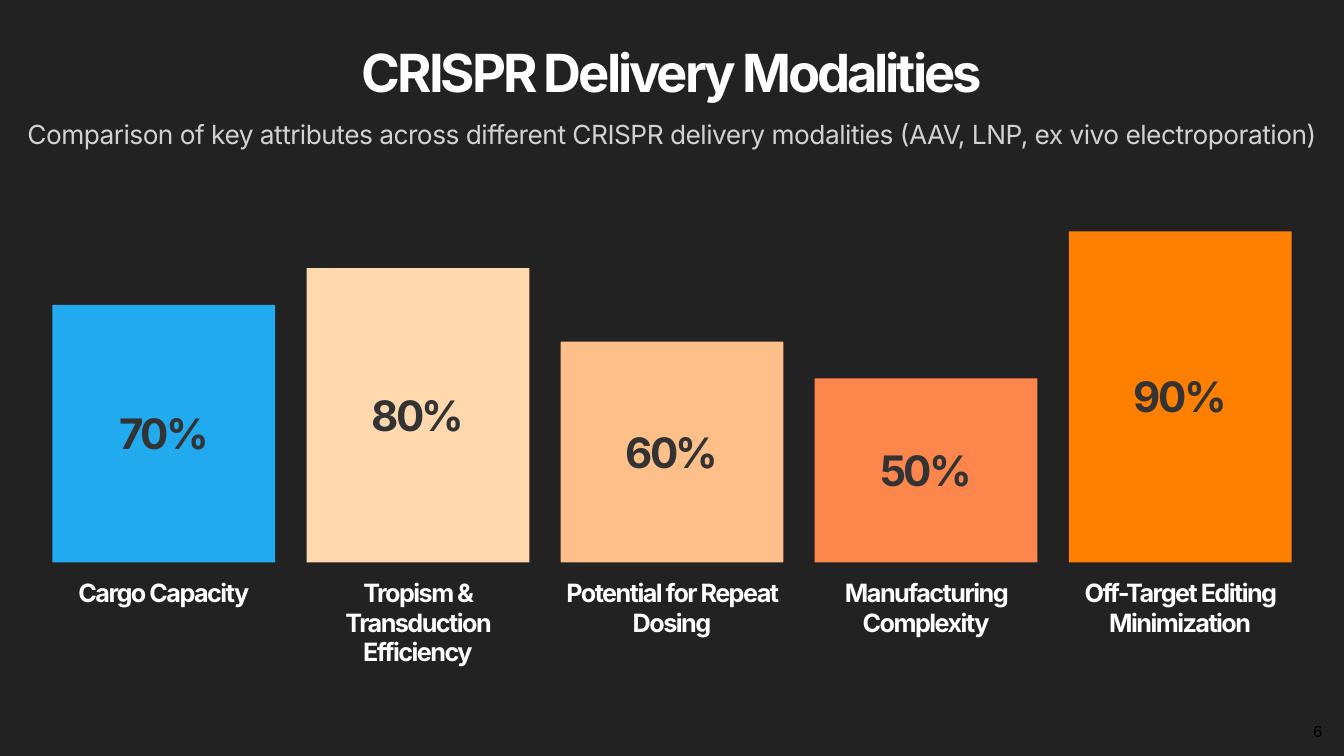
from pptx import Presentation
from pptx.dml.color import RGBColor
from pptx.enum.shapes import MSO_SHAPE
from pptx.enum.text import MSO_ANCHOR, MSO_AUTO_SIZE, PP_ALIGN
from pptx.oxml.ns import qn
from pptx.util import Inches, Pt
from lxml.etree import SubElement

TITLE = "CRISPR Delivery Modalities"
SUBTITLE = ("Comparison of key attributes across different CRISPR delivery "
            "modalities (AAV, LNP, ex vivo electroporation)")
PAGE_NUMBER = "6"
ATTRIBUTES = [  # label, percent, bar colour
    ("Cargo Capacity", 70, "blue"),
    ("Tropism & Transduction Efficiency", 80, "cream"),
    ("Potential for Repeat Dosing", 60, "peach"),
    ("Manufacturing Complexity", 50, "coral"),
    ("Off-Target Editing Minimization", 90, "orange"),
]
COLORS = {
    "background": "222222", "white": "FFFFFF", "dark": "333333", "black": "000000",
    "blue": "22AAEE", "cream": "FFD9AD", "peach": "FEC088",
    "coral": "FD864D", "orange": "FF8000",
}
FONT = "Inter"

SLIDE_WIDTH, SLIDE_HEIGHT = 13.33, 7.5
BAR_LEFT, BAR_WIDTH, BAR_PITCH = 0.52, 2.21, 2.52
BASELINE = 5.58
FULL_HEIGHT = 3.65  # height of a 100% bar
LABEL_TOP, LABEL_WIDTH, LABEL_HEIGHT = 5.74, 2.43, 0.88


def rgb(name):
    return RGBColor.from_string(COLORS[name])


def write(shape, text, size, color, line, spacing=0, bold=False,
          anchor=MSO_ANCHOR.TOP, align=PP_ALIGN.CENTER, opacity=None):
    """Fill a shape with one paragraph; line and spacing are in points."""
    frame = shape.text_frame
    frame.word_wrap = True
    frame.auto_size = MSO_AUTO_SIZE.NONE
    frame.vertical_anchor = anchor
    frame.margin_left = frame.margin_right = frame.margin_top = frame.margin_bottom = 0
    paragraph = frame.paragraphs[0]
    paragraph.alignment = align
    paragraph.line_spacing = Pt(line)
    run = paragraph.add_run()
    run.text = text
    font = run.font
    font.name, font.size, font.bold = FONT, Pt(size), bold
    font.color.rgb = rgb(color)
    properties = run._r.get_or_add_rPr()
    properties.set("spc", str(round(spacing * 100)))
    if opacity is not None:
        color_element = properties.find(qn("a:solidFill"))[0]
        SubElement(color_element, qn("a:alpha")).set("val", str(opacity * 1000))


def place(shape, left, top, width, height):
    shape.left, shape.top = Inches(left), Inches(top)
    shape.width, shape.height = Inches(width), Inches(height)


def add_text(slide, left, top, width, height, *args, **options):
    box = slide.shapes.add_textbox(
        Inches(left), Inches(top), Inches(width), Inches(height))
    write(box, *args, **options)


def add_bar(slide, index, label, percent, color):
    left = BAR_LEFT + index * BAR_PITCH
    height = FULL_HEIGHT * percent / 100
    bar = slide.shapes.add_shape(
        MSO_SHAPE.RECTANGLE, Inches(left), Inches(BASELINE - height),
        Inches(BAR_WIDTH), Inches(height))
    bar.shadow.inherit = False
    bar.fill.solid()
    bar.fill.fore_color.rgb = rgb(color)
    bar.line.fill.background()
    write(bar, f"{percent}%", 30, "dark", 35, -1.8, True, MSO_ANCHOR.MIDDLE)
    label_left = left - (LABEL_WIDTH - BAR_WIDTH) / 2
    add_text(slide, label_left, LABEL_TOP, LABEL_WIDTH, LABEL_HEIGHT,
             label, 18, "white", 21, -1.1, True)


def main():
    presentation = Presentation()
    presentation.slide_width = Inches(SLIDE_WIDTH)
    presentation.slide_height = Inches(SLIDE_HEIGHT)
    slide = presentation.slides.add_slide(presentation.slide_layouts[5])
    slide.background.fill.solid()
    slide.background.fill.fore_color.rgb = rgb("background")

    title = slide.shapes.title
    place(title, 0, 0.41, SLIDE_WIDTH, 0.61)
    write(title, TITLE, 37.5, "white", 43.8, -2.2, True)
    add_text(slide, 0, 1.13, SLIDE_WIDTH, 0.36,
             SUBTITLE, 18.8, "white", 26, -0.4, opacity=80)
    for index, (label, percent, color) in enumerate(ATTRIBUTES):
        add_bar(slide, index, label, percent, color)
    add_text(slide, 12.62, 7.17, 0.5, 0.2, PAGE_NUMBER, 11, "black", 13,
             align=PP_ALIGN.RIGHT)
    presentation.save("out.pptx")


if __name__ == "__main__":
    main()
